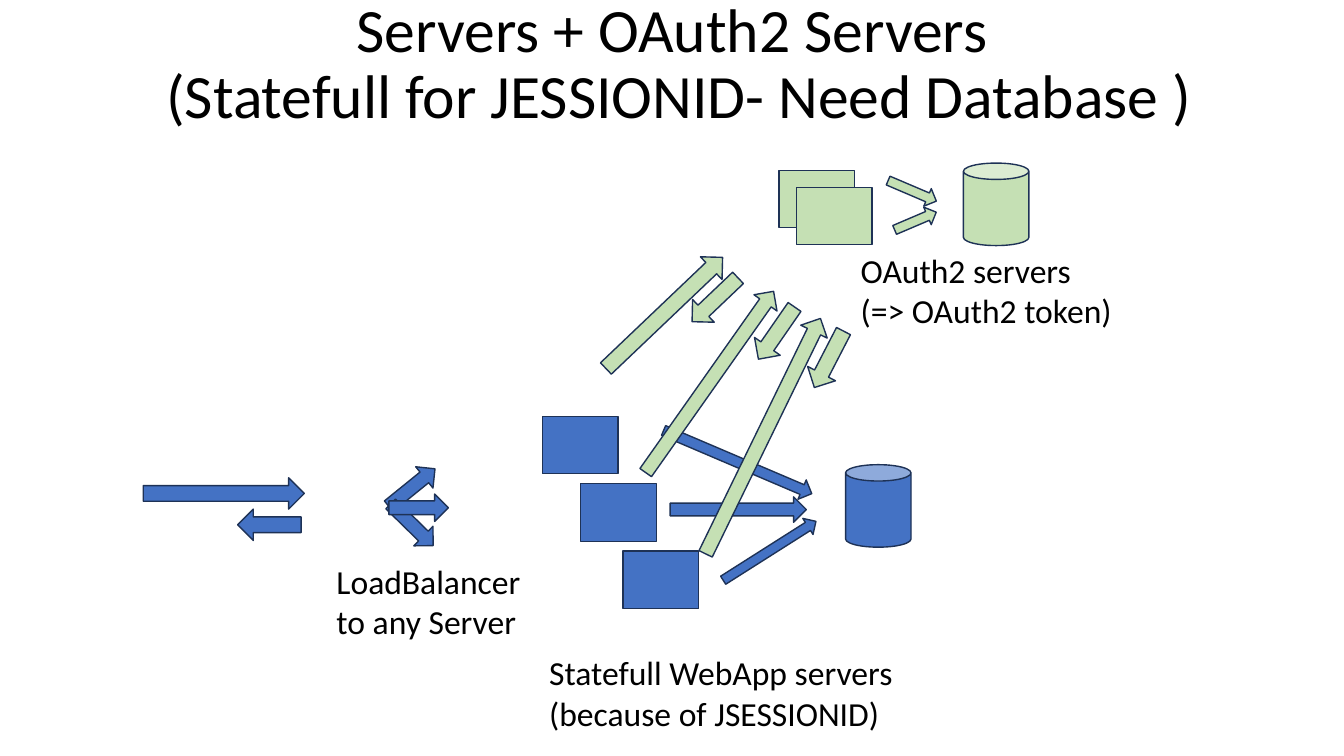
from pptx import Presentation
from pptx.dml.color import RGBColor
from pptx.enum.shapes import MSO_SHAPE
from pptx.enum.text import MSO_ANCHOR, MSO_AUTO_SIZE, PP_ALIGN
from pptx.util import Cm, Pt

BLUE, GREEN, OUTLINE, BLACK = "4472C4", "C5E0B4", "1E3256", "000000"
SERVER_SIZE = (1.91, 1.45)
DATABASE_SIZE = (1.65, 2.08)
REPLY_SIZE = (1.6, 0.79)
BALANCER_SIZE = (1.5, 0.69)

# Left, top in centimetres
WEB_SERVERS = [(13.67, 10.49), (14.63, 12.19), (15.7, 13.89)]
OAUTH_SERVERS = [(19.63, 4.29), (20.07, 4.72)]
WEB_DATABASE = (21.31, 11.71)
OAUTH_DATABASE = (24.28, 4.11)

# Left, top, width, height in centimetres, then rotation in degrees
WEB_ARROWS = [
    (3.61, 12.04, 4.06, 0.79, 0),
    (9.63, 11.94, *BALANCER_SIZE, 321),
    (9.63, 12.88, *BALANCER_SIZE, 44.4),
    (9.8, 12.45, *BALANCER_SIZE, 0),
    (16.56, 11.38, 4.06, 0.53, 23.1),
    (16.89, 12.52, 3.43, 0.64, 0),
    (18.01, 13.64, 2.77, 0.48, 327.6),
]
OAUTH_ARROWS = [
    (14.71, 7.49, 4.06, 0.79, 316.4),
    (22.33, 4.57, 1.32, 0.48, 23.1),
    (22.5, 5.33, 1.14, 0.48, 336.9),
    (15.09, 9.27, 5.59, 0.71, 305.2),
    (15.93, 10.62, 6.6, 0.74, 296),
]

# Left, top, rotation
WEB_REPLIES = [(5.99, 12.83, 0)]
OAUTH_REPLIES = [(17.22, 7.16, 316.4), (18.77, 8, 304.7), (20.09, 8.66, 297.3)]

# Left, top, width, lines
LABELS = [
    (8.23, 14, 5.21, ["LoadBalancer", "to any Server"]),
    (13.59, 16.31, 9.25, ["Statefull WebApp servers", "(because of JSESSIONID)"]),
    (21.44, 6.17, 6.91, ["OAuth2 servers", "(=> OAuth2 token)"]),
]


def color(hex_value):
    return RGBColor.from_string(hex_value)


def set_attributes(target, values):
    for name, value in values.items():
        setattr(target, name, value)


def set_font(paragraph, size):
    set_attributes(paragraph.font, {"name": "Calibri", "size": Pt(size)})
    paragraph.font.color.rgb = color(BLACK)


def add_figure(slide, kind, box, fill, rotation=0):
    shape = slide.shapes.add_shape(kind, *map(Cm, box))
    shape.shadow.inherit = False
    shape.rotation = rotation
    shape.fill.solid()
    shape.fill.fore_color.rgb = color(fill)
    shape.line.color.rgb = color(OUTLINE)
    shape.line.width = Pt(1)
    return shape


def add_reply(slide, left, top, rotation, fill):
    box = (left, top, *REPLY_SIZE)
    shape = add_figure(slide, MSO_SHAPE.RIGHT_ARROW, box, fill, rotation)
    shape._element.spPr.xfrm.set("flipH", "1")


def add_system(slide, servers, database, arrows, replies, fill):
    for position in servers:
        add_figure(slide, MSO_SHAPE.RECTANGLE, (*position, *SERVER_SIZE), fill)
    add_figure(slide, MSO_SHAPE.CAN, (*database, *DATABASE_SIZE), fill)
    for *box, rotation in arrows:
        add_figure(slide, MSO_SHAPE.RIGHT_ARROW, box, fill, rotation)
    for reply in replies:
        add_reply(slide, *reply, fill)


def add_label(slide, left, top, width, lines):
    frame = slide.shapes.add_textbox(Cm(left), Cm(top), Cm(width), Cm(2.31)).text_frame
    set_attributes(frame, {"word_wrap": False, "auto_size": MSO_AUTO_SIZE.SHAPE_TO_FIT_TEXT})
    frame.text = "\n".join(lines)
    for paragraph in frame.paragraphs:
        set_font(paragraph, 24)


def format_title(title):
    set_attributes(title, {"left": Cm(0.38), "top": Cm(0), "width": Cm(33.48), "height": Cm(3.3)})
    frame = title.text_frame
    frame.text = "Servers + OAuth2 Servers \v(Statefull for JESSIONID- Need Database )"
    set_attributes(frame, {
        "vertical_anchor": MSO_ANCHOR.MIDDLE,
        "auto_size": MSO_AUTO_SIZE.NONE,
        "word_wrap": True,
    })
    paragraph = frame.paragraphs[0]
    set_attributes(paragraph, {"alignment": PP_ALIGN.CENTER, "line_spacing": 0.9})
    set_font(paragraph, 44)


def main():
    presentation = Presentation()
    set_attributes(presentation, {"slide_width": Cm(33.87), "slide_height": Cm(19.05)})
    slide = presentation.slides.add_slide(presentation.slide_layouts[5])
    format_title(slide.shapes.title)

    # Web application below, OAuth2 system above it
    add_system(slide, WEB_SERVERS, WEB_DATABASE, WEB_ARROWS, WEB_REPLIES, BLUE)
    add_system(slide, OAUTH_SERVERS, OAUTH_DATABASE, OAUTH_ARROWS, OAUTH_REPLIES, GREEN)

    # Captions
    for label in LABELS:
        add_label(slide, *label)

    presentation.save("out.pptx")


if __name__ == "__main__":
    main()
